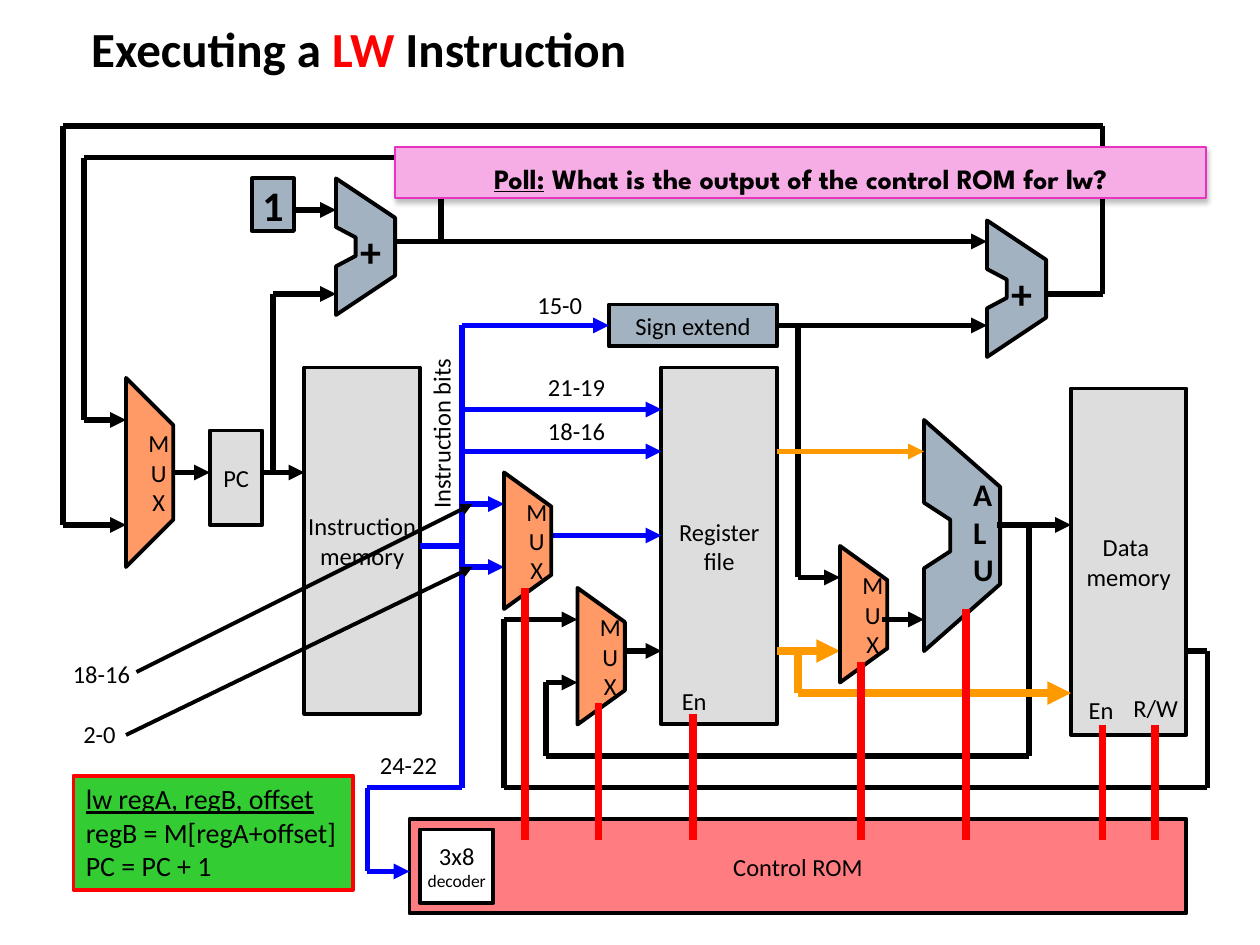
"""Build a slide of the datapath that runs a load word instruction."""
import dataclasses

import lxml.etree
import pptx
import pptx.dml.color
import pptx.enum.shapes
import pptx.enum.text
import pptx.oxml.ns
import pptx.util

PX = 9525
qn = pptx.oxml.ns.qn
sub = lxml.etree.SubElement
ALIGN = pptx.enum.text.PP_ALIGN
ANCHOR = pptx.enum.text.MSO_ANCHOR


@dataclasses.dataclass(frozen=True)
class Theme:
    black: str = "000000"
    white: str = "FFFFFF"
    gray: str = "DDDDDD"
    steel: str = "A3B2C1"
    peach: str = "FF9966"
    rose: str = "FF7C80"
    green: str = "33CC33"
    pink: str = "F6ADE5"
    plum: str = "E833BF"
    red: str = "FF0000"
    blue: str = "0000FF"
    gold: str = "FF9900"
    font: str = "Calibri"
    poll: str = "League Spartan"
    title: int = 28
    sign: int = 24
    alu: int = 18
    note: int = 16
    body: int = 14
    small: int = 10
    edge: float = 2.25
    wire: int = 3
    thick: float = 4.5


def rgb(code):
    return pptx.dml.color.RGBColor.from_string(code)


class Board:
    def __init__(self, slide, theme):
        self.slide = slide
        self.theme = theme

    def words(self, frame, paras, align=ALIGN.LEFT, anchor=ANCHOR.TOP,
              wrap=False, inset=None, space=None, **style):
        frame.word_wrap = wrap
        frame.vertical_anchor = anchor
        for side, size in (inset or {}).items():
            setattr(frame, "margin_" + side, size * PX)
        base = {"name": self.theme.font, "size": self.theme.body, "color": self.theme.black}
        for num, para in enumerate(paras):
            line = frame.add_paragraph() if num else frame.paragraphs[0]
            line.alignment = align
            line.line_spacing = space
            for text, extra in [(para, {})] if isinstance(para, str) else para:
                run = line.add_run()
                run.text = text
                look = {**base, **style, **extra}
                run.font.color.rgb = rgb(look.pop("color"))
                look["size"] = pptx.util.Pt(look["size"])
                for key, value in look.items():
                    setattr(run.font, key, value)

    def paint(self, shape, fill, edge=None, width=None):
        shape.shadow.inherit = False
        shape.fill.solid()
        shape.fill.fore_color.rgb = rgb(fill)
        shape.line.color.rgb = rgb(edge or self.theme.black)
        shape.line.width = pptx.util.Pt(width or self.theme.edge)
        return shape

    def box(self, area, fill, paras, edge=None, width=None, **style):
        kind = pptx.enum.shapes.MSO_SHAPE.RECTANGLE
        shape = self.slide.shapes.add_shape(kind, *(n * PX for n in area))
        self.paint(shape, fill, edge, width)
        look = {"align": ALIGN.CENTER, "anchor": ANCHOR.MIDDLE, **style}
        self.words(shape.text_frame, paras, **look)
        return shape

    def label(self, area, paras, turn=0, **style):
        shape = self.slide.shapes.add_textbox(*(n * PX for n in area))
        shape.rotation = turn
        self.words(shape.text_frame, paras, **style)

    def block(self, area, parts, fill):
        left, top, wide, high = area
        spots = [(left + round(x * wide), top + round(y * high)) for x, y in parts]
        pen = self.slide.shapes.build_freeform(*spots[0], scale=PX)
        pen.add_line_segments(spots[1:], close=True)
        return self.paint(pen.convert_to_shape(), fill)

    def mux(self, left, top, high):
        parts = [(0, 0), (1, 0.25), (1, 0.75), (0, 1)]
        shape = self.block((left, top, 36, high), parts, self.theme.peach)
        inset = {"left": 14, "right": 0, "top": 0, "bottom": 0}
        self.words(shape.text_frame, "MUX", ALIGN.CENTER, ANCHOR.MIDDLE, inset=inset)

    def adder(self, area):
        half = [(1, 0.29), (0, 0), (0, 0.36), (0.34, 0.43)]
        parts = half + [(x, 1 - y) for x, y in reversed(half)]
        self.block(area, parts, self.theme.steel)

    def wire(self, spots, color=None, width=None, arrow=True, start=None, end=None):
        kind = pptx.enum.shapes.MSO_CONNECTOR.STRAIGHT
        for a, b in zip(spots, spots[1:]):
            line = self.slide.shapes.add_connector(kind, *(n * PX for n in a + b))
            line.line.color.rgb = rgb(color or self.theme.black)
            line.line.width = pptx.util.Pt(width or self.theme.wire)
            if start and a == spots[0]:
                line.begin_connect(*start)
            if end and b == spots[-1]:
                line.end_connect(*end)
            if arrow and b == spots[-1]:
                sub(line._element.spPr.find(qn("a:ln")), qn("a:tailEnd"), type="triangle")
            sub(line._element.spPr, qn("a:effectLst"))

    def shade(self, shape):
        glow = shape._element.spPr.find(qn("a:effectLst"))
        cast = sub(glow, qn("a:outerShdw"), blurRad="38100", dist="25400",
                   dir="5400000", rotWithShape="0")
        tint = sub(cast, qn("a:srgbClr"), val=self.theme.black)
        sub(tint, qn("a:alpha"), val="25000")


def main():
    t = Theme()
    deck = pptx.Presentation()
    deck.slide_width, deck.slide_height = 960 * PX, 720 * PX
    board = Board(deck.slides.add_slide(deck.slide_layouts[6]), t)

    title = [("Executing a ", {}), ("LW", {"color": t.red}), (" Instruction", {})]
    board.label((60, -24, 840, 88), [title], anchor=ANCHOR.BOTTOM, wrap=True,
                size=t.title, bold=True)

    for area, fill, paras in [
        ((160, 328, 40, 72), t.gray, ["PC"]),
        ((232, 280, 88, 264), t.gray, ["Instruction", "memory"]),
        ((504, 280, 88, 272), t.gray, ["Register", "file"]),
        ((816, 296, 88, 264), t.gray, ["Data ", "memory"]),
        ((312, 624, 592, 72), t.rose, ["Control ROM"]),
        ((320, 632, 56, 56), t.white, ["3x8", [("decoder", {"size": t.small})]]),
    ]:
        board.box(area, fill, paras)
    board.box((192, 136, 32, 40), t.steel, ["1"], size=t.sign, bold=True)
    sign = board.box((464, 232, 128, 32), t.steel, ["Sign extend"])

    board.wire([(592, 248), (752, 248)], start=(sign, 3))
    board.wire([(352, 248), (464, 248)], t.blue, end=(sign, 1))
    for spots in [
        [(296, 184), (752, 184)],
        [(336, 184), (336, 120), (64, 120), (64, 320), (96, 320)],
        [(792, 224), (840, 224), (840, 96), (48, 96), (48, 400), (96, 400)],
        [(128, 360), (160, 360)],
        [(200, 360), (232, 360)],
        [(208, 360), (208, 224), (256, 224)],
        [(224, 160), (256, 160)],
        [(608, 248), (608, 440), (640, 440)],
        [(784, 400), (784, 576), (416, 576), (416, 520), (440, 520)],
        [(904, 496), (920, 496), (920, 600), (384, 600), (384, 472), (440, 472)],
        [(472, 496), (504, 496)],
    ]:
        board.wire(spots)
    board.wire([(320, 416), (352, 416)], t.blue, arrow=False)
    board.wire([(352, 248), (352, 600), (280, 600), (280, 664), (312, 664)], t.blue)
    for left, right, y in [(352, 504, 312), (352, 504, 344), (352, 384, 384),
                           (352, 384, 432), (416, 504, 408)]:
        board.wire([(left, y), (right, y)], t.blue)
    board.wire([(592, 496), (640, 496)], t.gold, t.thick)

    for spot in [(96, 288, 144), (384, 360, 104), (440, 448, 104), (640, 416, 104)]:
        board.mux(*spot)
    for left, top in [(256, 136), (752, 168)]:
        board.adder((left, top, 45, 104))
        board.label((left + 9, top + 31, 35, 49), ["+"], size=t.sign, bold=True)
    board.adder((704, 320, 58, 176))
    board.label((732, 357, 35, 97), "ALU", size=t.alu, bold=True)

    board.wire([(760, 400), (816, 400)])
    board.wire([(672, 472), (704, 472)])
    board.wire([(592, 344), (704, 344)], t.gold)
    board.wire([(608, 496), (608, 528), (768, 528), (816, 528)], t.gold, t.thick)
    for x, top in [(400, 448), (456, 536), (528, 544), (656, 504), (736, 464),
                   (840, 552), (880, 552)]:
        board.wire([(x, top), (x, 640)], t.red, t.thick, arrow=False)

    for left, top, wide, text in [
        (854, 523, 54, "R/W"), (820, 525, 38, "En"), (510, 518, 38, "En"),
        (400, 216, 54, "15-0"), (408, 279, 63, "21-19"), (408, 312, 63, "18-16"),
        (280, 567, 63, "24-22"), (46, 497, 63, "18-16"), (54, 543, 45, "2-0"),
    ]:
        board.label((left, top, wide, 33), [text])
    board.label((269, 313, 135, 33), ["Instruction bits"], turn=270)
    board.wire([(104, 512), (360, 384)], width=t.edge)
    board.wire([(96, 560), (360, 432)], width=t.edge)

    steps = [[("lw regA, regB, offset", {"underline": True})],
             "regB = M[regA+offset]", "PC = PC + 1"]
    board.box((56, 591, 213, 87), t.green, steps, edge=t.red, align=ALIGN.LEFT,
              anchor=ANCHOR.TOP, size=t.note)
    ask = [("Poll:", {"underline": True}),
           (" What is the output of the control ROM for lw?", {})]
    board.shade(board.box((301, 112, 618, 39), t.pink, [ask], edge=t.plum, width=0.75,
                          anchor=ANCHOR.TOP, wrap=True, space=1.25,
                          name=t.poll, size=t.note, bold=True))
    deck.save("out.pptx")


if __name__ == "__main__":
    main()
